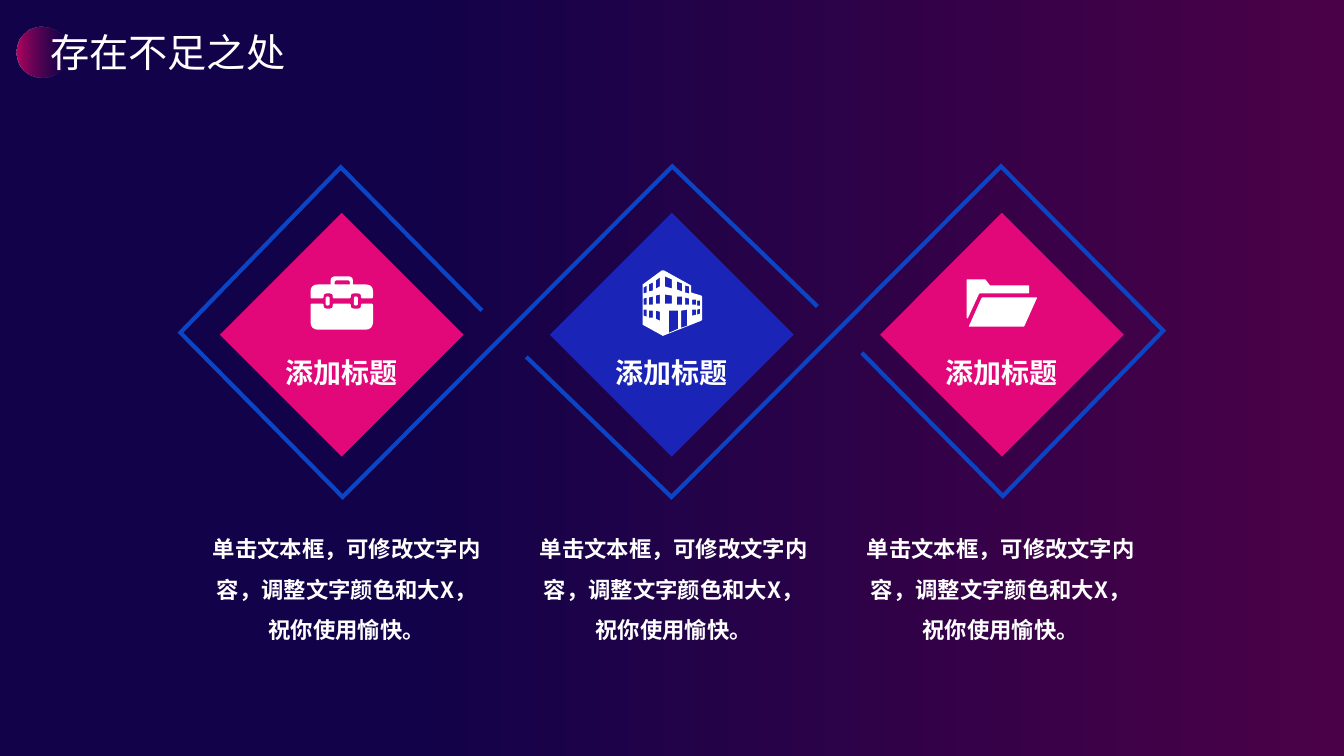
from lxml.etree import SubElement as Sub
from pptx import Presentation
from pptx.dml.color import RGBColor
from pptx.enum.shapes import MSO_SHAPE as Kind
from pptx.enum.text import MSO_ANCHOR as Anchor, MSO_AUTO_SIZE as Fit, PP_ALIGN as Align
from pptx.oxml.ns import qn
from pptx.util import Pt

FACE = "Noto Sans CJK SC"
HUES = {"navy": "120249", "plum": "4B0147", "rose": "B30660", "grape": "570152",
        "pink": "E2087A", "blue": "1A25B8", "line": "0B45C5", "white": "FFFFFF"}
NOTE = "单击文本框，可修改文字内容，调整文字颜色和大X，祝你使用愉快。"
UNIT = 0.72
FINE = 100

TRACK = [(344.2, 221.8), (243.4, 119.5), (128.9, 237.6),
         (244.8, 355), (480.2, 118.8), (583.9, 218.9)]
TURN = (959.8, 473.8)

WALL = [(58, 25), (48, 22), (48, 15), (21, 0), (19, 0), (0, 14),
        (0, 54), (20, 65), (48, 54), (58, 50), (59, 49), (59, 26)]
PANES = {
    (1, 4): [(17, 15, 22, 23), (28, 27, 34, 34), (39, 39, 46, 45)],
    (6, 10): [(14, 12, 20, 21), (27, 26, 34, 34), (40, 40, 47, 47)],
    (13, 17): [(10, 7, 16, 18), (25, 24, 33, 33), (40, 41, 50, 48)],
    (22, 29): [(6, 9, 18, 16), (24, 25, 33, 33)],
    (34, 39): [(11, 13, 21, 19), (26, 26, 34, 34)],
    (42, 46): [(15, 16, 23, 22), (27, 28, 34, 34)],
    (26, 35): [(40, 40, 58, 62)],
    (38, 44): [(40, 39, 55, 57)],
    (49, 53): [(29, 29, 34, 34), (39, 39, 44, 45)],
    (54, 57): [(30, 30, 35, 35), (39, 38, 43, 44)],
}
HOUSE = [WALL] + [[(l, a), (r, b), (r, c), (l, d)]
                  for (l, r), rows in PANES.items() for a, b, c, d in rows]
CASE = [
    [(0, 8, 8), (20, 8), (20, 0, 5), (42, 0, 5), (42, 8), (62, 8, 8),
     (62, 22, 2), (50, 22, 2), (50, 17, 3), (40, 17, 3), (40, 22, 2),
     (22, 22, 2), (22, 17, 3), (13, 17, 3), (13, 22, 2), (0, 22, 2)],
    [(24, 8), (24, 4, 2), (39, 4, 2), (39, 8)],
    [(0, 27, 2), (13, 27, 2), (13, 32, 3), (22, 32, 3), (22, 27, 2),
     (40, 27, 2), (40, 32, 3), (50, 32, 3), (50, 27, 2), (62, 27, 2),
     (62, 53, 8), (0, 53, 8)],
] + [[(x, 20, 2), (x + 4, 20, 2), (x + 4, 29, 2), (x, 29, 2)] for x in (15, 43)]
FILE = [
    [(0, 0, 1), (18.5, 0, 1), (23, 6), (62, 6, 1), (62, 14, 1),
     (12.5, 14, 1), (1, 39), (0, 38)],
    [(15, 18, 1), (70, 18, 1), (57, 47, 1), (2, 47, 1)],
]
CARDS = [("pink", CASE, 64.8, 45.4), ("blue", HOUSE, 66.3, 41.1),
         ("pink", FILE, 61.9, 47.5)]


def hue(name):
    return RGBColor.from_string(HUES[name])


def blend(fill, stops):
    fill.gradient()
    fill.gradient_angle = 0
    for stop, (place, name) in zip(fill.gradient_stops, stops):
        stop.position = place
        stop.color.rgb = hue(name)


def write(shape, text, size=16, bold=False, align=Align.LEFT, wrap=True, gap=1):
    frame = shape.text_frame
    frame.word_wrap = wrap
    frame.auto_size = Fit.NONE
    frame.vertical_anchor = Anchor.TOP
    para = frame.paragraphs[0]
    para.alignment = align
    para.line_spacing = gap
    run = para.add_run()
    run.text = text
    font = run.font
    font.name, font.size, font.bold = FACE, Pt(size), bold
    font.color.rgb = hue("white")
    Sub(font._element, qn("a:ea"), typeface=FACE)


def label(slide, box, text, **look):
    write(slide.shapes.add_textbox(*map(Pt, box)), text, **look)


def preset(slide, kind, box):
    shape = slide.shapes.add_shape(kind, *map(Pt, box))
    shape.shadow.inherit = False
    shape.line.fill.background()
    return shape


def soften(ring):
    dots = []
    for i, (x, y, *cut) in enumerate(ring):
        if not cut:
            dots.append((x, y))
            continue
        ends = []
        for px, py, *_ in (ring[i - 1], ring[(i + 1) % len(ring)]):
            span = ((px - x) ** 2 + (py - y) ** 2) ** 0.5
            part = min(cut[0] / span, 0.5)
            ends.append((x + (px - x) * part, y + (py - y) * part))
        (ax, ay), (bx, by) = ends
        for t in (0, 0.25, 0.5, 0.75, 1):
            u = 1 - t
            dots.append((u * u * ax + 2 * u * t * x + t * t * bx,
                         u * u * ay + 2 * u * t * y + t * t * by))
    return dots


def outline(slide, rings, close):
    rings = [[(x * FINE, y * FINE) for x, y in ring] for ring in rings]
    pen = slide.shapes.build_freeform(*rings[0][0], scale=Pt(1) / FINE)
    for i, ring in enumerate(rings):
        if i:
            pen.move_to(*ring[0])
        pen.add_line_segments(ring[1:], close=close)
    shape = pen.convert_to_shape()
    shape.shadow.inherit = False
    return shape


def icon(slide, left, top, rings):
    shape = outline(slide, [[(left + x * UNIT, top + y * UNIT)
                             for x, y in soften(ring)] for ring in rings], True)
    shape.fill.solid()
    shape.fill.fore_color.rgb = hue("white")
    shape.line.fill.background()


def track(slide, dots):
    shape = outline(slide, [dots], False)
    shape.fill.background()
    shape.line.color.rgb = hue("line")
    shape.line.width = Pt(3)
    Sub(shape.line._ln, qn("a:miter"), lim="800000")


def header(slide, left, top):
    title = slide.shapes.title
    title.left, title.top, title.width, title.height = map(
        Pt, (left + 17.3, top - 2.2, 189.4, 41))
    write(title, "存在不足之处", size=28)
    dot = preset(slide, Kind.OVAL, (left, top, 36.5, 36.5))
    blend(dot.fill, [(0, "rose"), (1, "grape")])
    Sub(dot.element.xpath(".//a:gs/a:srgbClr")[-1], qn("a:alpha"), val="0")
    title.element.addprevious(dot.element)


def card(slide, left, top, size, name, rings, dx, dy):
    gem = preset(slide, Kind.DIAMOND, (left, top, size, size))
    gem.fill.solid()
    gem.fill.fore_color.rgb = hue(name)
    icon(slide, left + dx, top + dy, rings)
    label(slide, (left + 39.6, top + 98.7, 95, 31.7), "添加标题",
          size=20, bold=True, align=Align.CENTER, wrap=False)


def main():
    deck = Presentation()
    deck.slide_width, deck.slide_height = Pt(960), Pt(540)
    slide = deck.slides.add_slide(deck.slide_layouts[5])
    blend(slide.background.fill, [(0.3, "navy"), (1, "plum")])
    header(slide, 11.5, 18.7)
    track(slide, [(TURN[0] - x, TURN[1] - y) for x, y in TRACK])
    track(slide, TRACK)
    for i, parts in enumerate(CARDS):
        card(slide, 157 + i * 235.8, 152, 174.2, *parts)
        label(slide, (140.4 + i * 233.6, 369.4, 214.6, 94.3), NOTE,
              bold=True, align=Align.CENTER, gap=1.5)
    deck.save("out.pptx")


if __name__ == "__main__":
    main()
